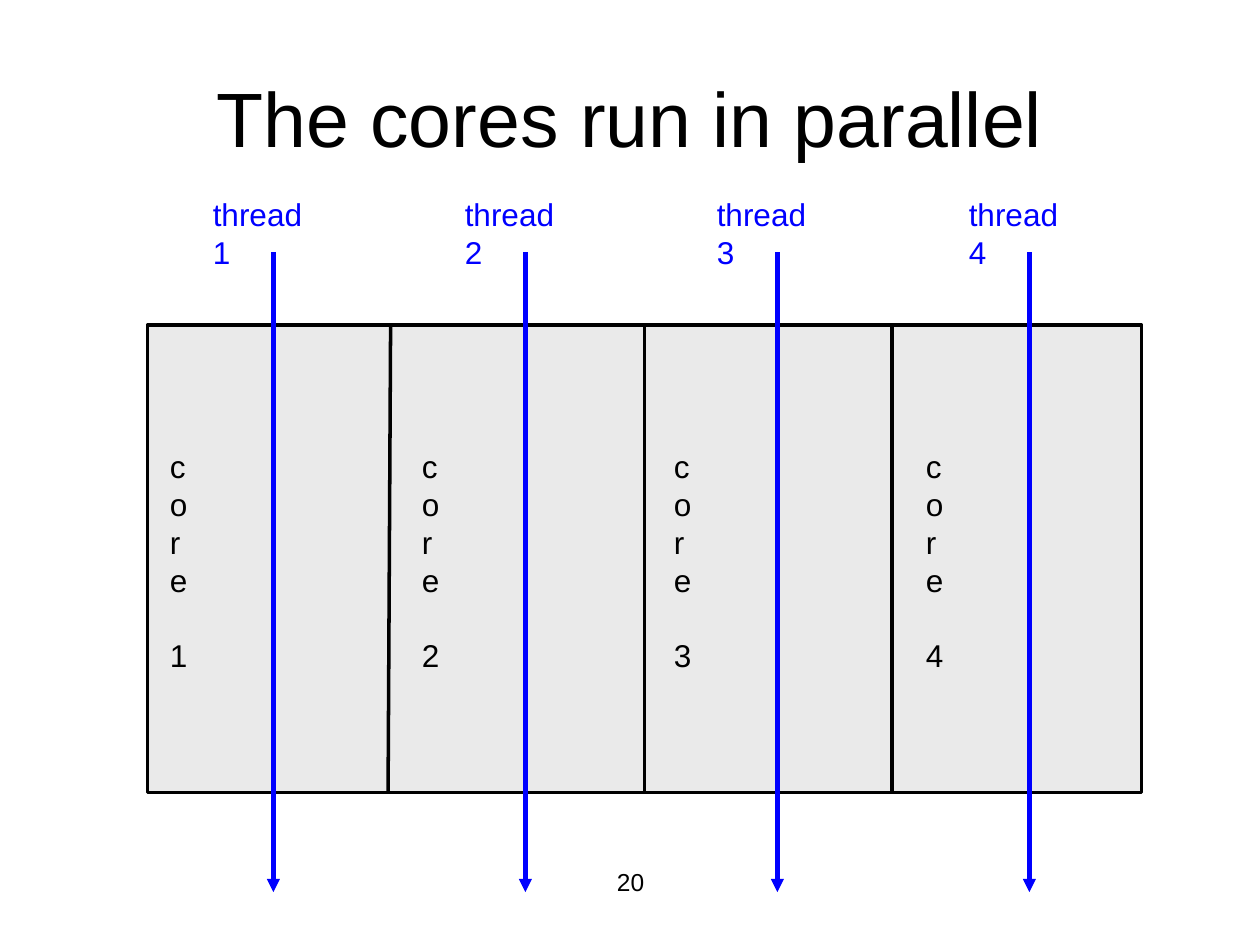
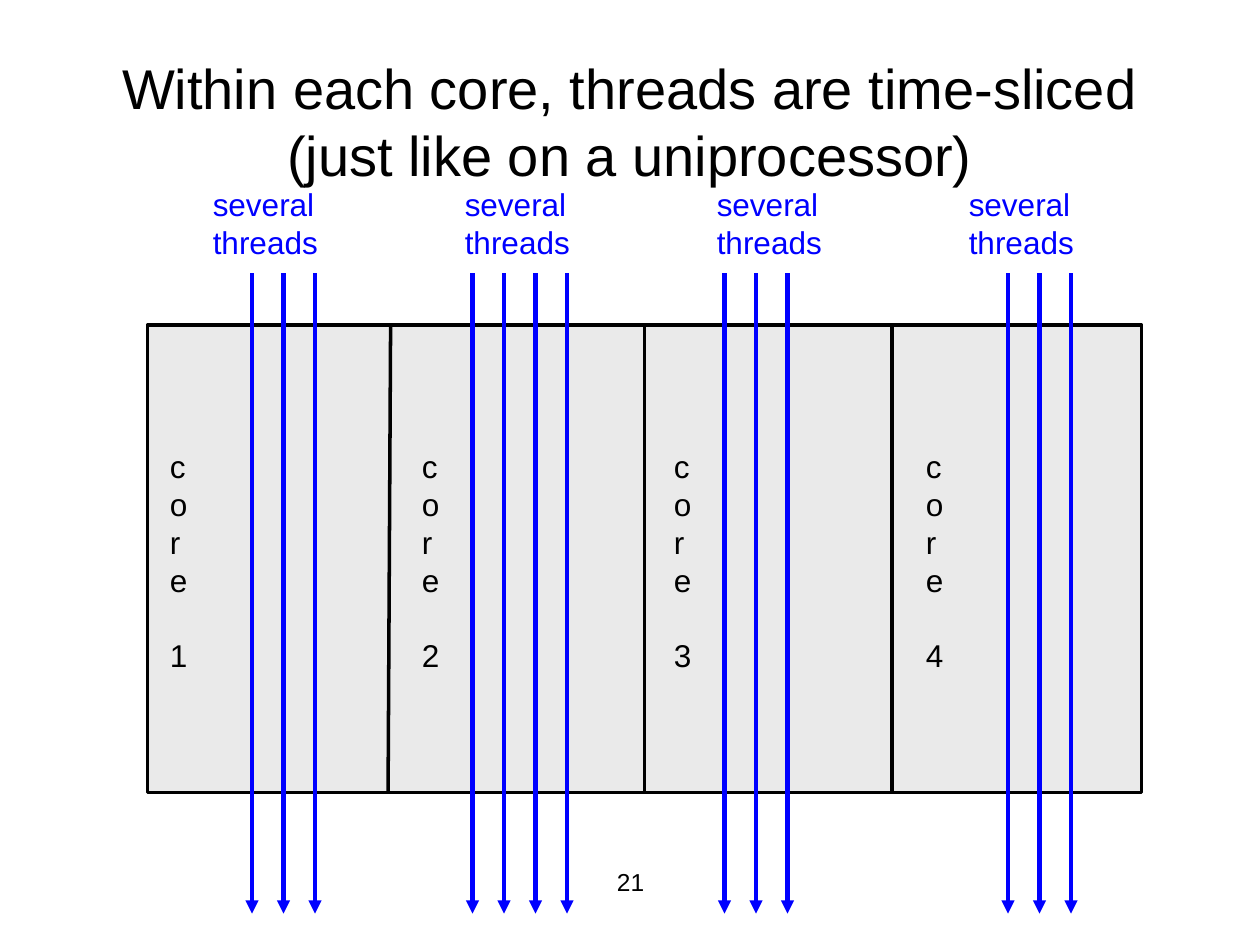
"""Build two slides showing how threads run on the four cores of a processor."""
import pptx
import pptx.dml.color
import pptx.enum.shapes
import pptx.enum.text
import pptx.oxml.ns
import pptx.util
from lxml import etree

Inches = pptx.util.Inches
Pt = pptx.util.Pt
ALIGN = pptx.enum.text.PP_ALIGN
FONT = "Arial"
COLORS = {"ink": "000000", "core": "EAEAEA", "thread": "0000FF"}
CORES = 4
CORE_PITCH = 2
CHIP_TOP, CHIP_HEIGHT = 2.58, 3.71
THREAD_LENGTH = 5.08
THREAD_GAP = 0.25


def rgb(name):
    return pptx.dml.color.RGBColor.from_string(COLORS[name])


def format_text(tf, size, color="ink", align=ALIGN.LEFT):
    for p in tf.paragraphs:
        p.alignment = align
        for r in p.runs:
            r.font.name = FONT
            r.font.size = Pt(size)
            r.font.color.rgb = rgb(color)


def add_title(slide, text, size, top):
    sp = slide.shapes.title
    sp.left, sp.top, sp.width, sp.height = map(Inches, (0.5, top, 9, 1.25))
    tf = sp.text_frame
    tf.text = text
    tf.auto_size = pptx.enum.text.MSO_AUTO_SIZE.NONE
    tf.vertical_anchor = pptx.enum.text.MSO_ANCHOR.MIDDLE
    format_text(tf, size, align=ALIGN.CENTER)


def add_text(slide, box, text, size, color="ink", align=ALIGN.LEFT, wrap=True):
    tf = slide.shapes.add_textbox(*map(Inches, box)).text_frame
    tf.word_wrap = wrap
    tf.text = text
    format_text(tf, size, color, align)
    return tf


def add_line(slide, start, end, color, width):
    line = slide.shapes.add_connector(
        pptx.enum.shapes.MSO_CONNECTOR.STRAIGHT, *map(Inches, start + end))
    line.line.color.rgb = rgb(color)
    line.line.width = Pt(width)
    etree.SubElement(line._element.spPr, pptx.oxml.ns.qn("a:effectLst"))
    return line


def add_thread(slide, x, top):
    line = add_line(slide, (x, top), (x, top + THREAD_LENGTH), "thread", 2.5)
    ln = line.line._get_or_add_ln()
    etree.SubElement(ln, pptx.oxml.ns.qn("a:tailEnd"), type="triangle")


def add_chip(slide):
    bottom = CHIP_TOP + CHIP_HEIGHT
    chip = slide.shapes.add_shape(
        pptx.enum.shapes.MSO_SHAPE.RECTANGLE,
        *map(Inches, (1.17, CHIP_TOP, 7.89, CHIP_HEIGHT)))
    chip.shadow.inherit = False
    chip.fill.solid()
    chip.fill.fore_color.rgb = rgb("core")
    chip.line.color.rgb = rgb("ink")
    chip.line.width = Pt(2)
    for x_top, x_bottom in ((3.1, 3.08), (7.08, 7.08)):
        add_line(slide, (x_top, CHIP_TOP), (x_bottom, bottom), "ink", 2)
    middle = add_line(slide, (5.11, CHIP_TOP), (5.11, bottom), "ink", 2)
    middle.begin_connect(chip, 0)
    middle.end_connect(chip, 2)
    for i in range(CORES):
        box = (1.25 + i * CORE_PITCH, 3.5, 0.36, 1.9)
        tf = add_text(slide, box, f"core\n{i + 1}", 18)
        tf.paragraphs[1].space_before = Pt(21.5)


def add_core_slide(prs, number, title, size, title_top):
    slide = prs.slides.add_slide(prs.slide_layouts[5])
    add_text(slide, (3.42, 6.83, 3.17, 0.52), str(number), 14,
             align=ALIGN.CENTER)
    add_title(slide, title, size, title_top)
    add_chip(slide)
    return slide


def add_thread_groups(slide, labels, label_top, label_height, groups, top):
    for i, (label, (first_x, count)) in enumerate(zip(labels, groups)):
        box = (1.59 + i * CORE_PITCH, label_top, 1.11, label_height)
        add_text(slide, box, label, 18, "thread", wrap=False)
        for j in range(count):
            add_thread(slide, first_x + j * THREAD_GAP, top)


def main():
    prs = pptx.Presentation()
    prs.slide_width, prs.slide_height = Inches(10), Inches(7.5)

    slide = add_core_slide(prs, 20, "The cores run in parallel", 44, 0.3)
    labels = [f"thread {i + 1}" for i in range(CORES)]
    groups = [(2.17 + i * CORE_PITCH, 1) for i in range(CORES)]
    add_thread_groups(slide, labels, 1.5, 0.4, groups, 2)

    slide = add_core_slide(
        prs, 21, "Within each core, threads are time-sliced "
        "(just like on a uniprocessor)", 32, 0.33)
    groups = [(2, 3), (3.75, 4), (5.75, 3), (8, 3)]
    add_thread_groups(slide, ["several\vthreads"] * CORES, 1.42, 0.7,
                      groups, 2.17)

    prs.save("out.pptx")


if __name__ == "__main__":
    main()
